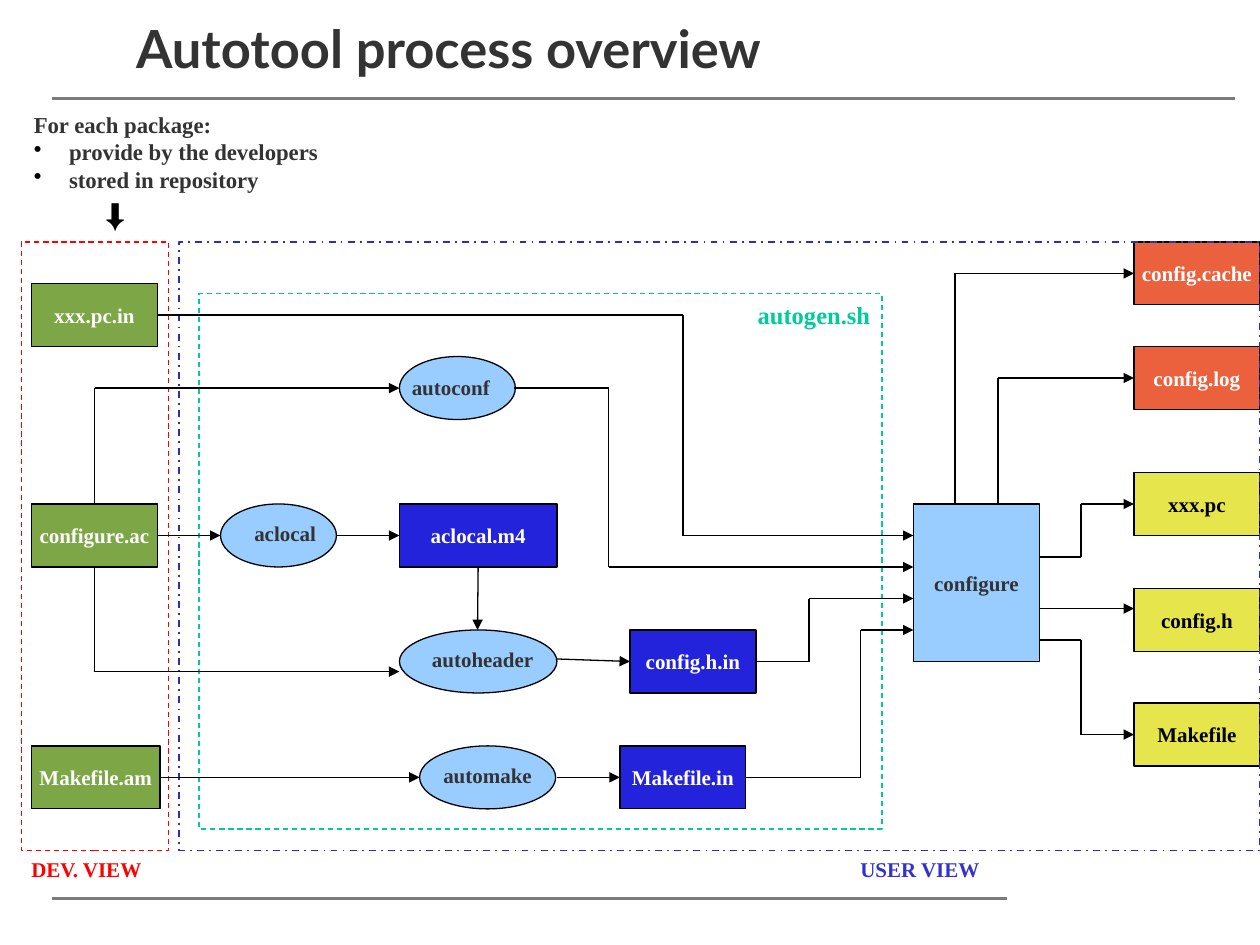
from dataclasses import dataclass
from typing import Optional

import pptx
import pptx.util
from lxml import etree
from pptx.dml.color import RGBColor
from pptx.enum.dml import MSO_LINE
from pptx.enum.shapes import MSO_CONNECTOR, MSO_SHAPE
from pptx.enum.text import MSO_ANCHOR, PP_ALIGN
from pptx.oxml.ns import qn
from pptx.util import Inches

BLACK = RGBColor(0x00, 0x00, 0x00)
WHITE = RGBColor(0xFF, 0xFF, 0xFF)
DARK = RGBColor(0x33, 0x33, 0x33)
GREY = RGBColor(0x7B, 0x7B, 0x7B)
GREEN = RGBColor(0x7D, 0xA6, 0x47)
BLUE = RGBColor(0x23, 0x23, 0xDC)
SKY = RGBColor(0x99, 0xCC, 0xFF)
ORANGE = RGBColor(0xEB, 0x61, 0x3D)
YELLOW = RGBColor(0xE6, 0xE6, 0x4C)
RED = RGBColor(0xFF, 0x00, 0x00)
TEAL = RGBColor(0x00, 0xCC, 0x99)
NAVY = RGBColor(0x2D, 0x2D, 0xB9)
INDIGO = RGBColor(0x33, 0x33, 0xCC)
SERIF = "Times New Roman"


@dataclass
class Box:
    text: str
    x: float
    y: float
    fill: RGBColor
    color: RGBColor = WHITE
    w: float = 1
    h: float = 0.5


@dataclass
class Tool:
    x: float
    y: float
    w: float


@dataclass
class Frame:
    x: float
    y: float
    w: float
    h: float
    color: RGBColor
    width: float = 0.75
    dash: MSO_LINE = MSO_LINE.DASH


@dataclass
class Label:
    text: str
    x: float
    y: float
    w: float
    h: float = 0.3
    color: RGBColor = DARK
    size: int = 12
    font: str = SERIF
    wrap: bool = False
    align: Optional[PP_ALIGN] = None
    inset: float = 0.1


BOXES = [
    # Written by the developers
    Box("xxx.pc.in", 0.25, 2.25, GREEN),
    Box("configure.ac", 0.25, 4, GREEN),
    Box("Makefile.am", 0.25, 5.92, GREEN, w=1.02),
    # Generated by autogen.sh
    Box("aclocal.m4", 3.17, 4, BLUE, w=1.25),
    Box("config.h.in", 5, 5, BLUE),
    Box("Makefile.in", 4.92, 5.92, BLUE),
    Box("configure", 7.25, 4, SKY, DARK, h=1.25),
    # Produced by configure
    Box("config.cache", 9, 1.92, ORANGE),
    Box("config.log", 9, 2.75, ORANGE),
    Box("xxx.pc", 9, 3.75, YELLOW, BLACK),
    Box("config.h", 9, 4.67, YELLOW, BLACK),
    Box("Makefile", 9, 5.58, YELLOW, BLACK),
]
TOOLS = [Tool(3.17, 2.83, 0.92), Tool(1.75, 4, 0.92),
         Tool(3.17, 5, 1.25), Tool(3.33, 5.92, 1.08)]
FRAMES = [
    Frame(0.17, 1.92, 1.17, 4.83, RED),
    Frame(1.58, 2.33, 5.42, 4.25, TEAL),
    Frame(1.42, 1.92, 8.58, 4.83, NAVY, 1, MSO_LINE.DASH_DOT),
]
LABELS = [
    Label("Autotool process overview", 1.08, 0.08, 8.74, 0.7, size=30,
          font="Lato", wrap=True, inset=0),
    Label("autogen.sh", 5.92, 2.33, 1.08, 0.33, TEAL, 14,
          align=PP_ALIGN.CENTER, inset=0.02),
    Label("⬇", 0.74, 1.5, 0.45, 0.4, BLACK, 18, "Arial"),
    Label("autoconf", 3.17, 2.92, 0.9),
    Label("aclocal", 1.92, 4.08, 1, wrap=True),
    Label("autoheader", 3.33, 5.08, 1.08, wrap=True),
    Label("automake", 3.42, 6, 1),
    Label("USER VIEW", 6.73, 6.75, 1.2, color=INDIGO),
    Label("DEV. VIEW", 0.15, 6.75, 1.15, color=RED),
]
# Each route is a chain of points with an arrowhead at its end
ROUTES = [
    [(1.25, 2.5), (5.42, 2.5), (5.42, 4.25), (7.25, 4.25)],
    [(0.75, 4), (0.75, 3.08), (3.17, 3.08)],
    [(4.08, 3.08), (4.83, 3.08), (4.83, 4.5), (7.25, 4.5)],
    [(1.25, 4.25), (1.75, 4.25)],
    [(2.67, 4.25), (3.17, 4.25)],
    [(3.79, 4.5), (3.79, 5)],
    [(0.75, 4.5), (0.75, 5.33), (3.17, 5.33)],
    [(4.42, 5.23), (5, 5.25)],
    [(6, 5.25), (6.42, 5.25), (6.42, 4.75), (7.25, 4.75)],
    [(1.27, 6.17), (3.33, 6.17)],
    [(4.42, 6.17), (4.92, 6.17)],
    [(5.92, 6.17), (6.83, 6.17), (6.83, 5), (7.25, 5)],
    [(7.58, 4), (7.58, 2.17), (9, 2.17)],
    [(7.92, 4), (7.92, 3), (9, 3)],
    [(8.25, 4.42), (8.58, 4.42), (8.58, 4), (9, 4)],
    [(8.25, 4.83), (9, 4.83)],
    [(8.25, 5.08), (8.58, 5.08), (8.58, 5.83), (9, 5.83)],
]


def add_run(p, text: str, size: int, color: RGBColor, font: str = SERIF) -> None:
    r = p.add_run()
    r.text = text
    r.font.size = pptx.util.Pt(size)
    r.font.name = font
    r.font.bold = True
    r.font.color.rgb = color


def add_shape(s, kind, x, y, w, h, fill=None, line=BLACK, width=0.75):
    sp = s.shapes.add_shape(kind, Inches(x), Inches(y), Inches(w), Inches(h))
    sp.shadow.inherit = False
    if fill is None:
        sp.fill.background()
    else:
        sp.fill.solid()
        sp.fill.fore_color.rgb = fill
    sp.line.color.rgb = line
    sp.line.width = pptx.util.Pt(width)
    return sp


def add_box(s, box: Box):
    sp = add_shape(s, MSO_SHAPE.RECTANGLE, box.x, box.y, box.w, box.h, box.fill)
    tf = sp.text_frame
    tf.word_wrap = False
    tf.vertical_anchor = MSO_ANCHOR.MIDDLE
    p = tf.paragraphs[0]
    p.alignment = PP_ALIGN.CENTER
    add_run(p, box.text, 12, box.color)
    return sp


def add_label(s, label: Label):
    tf = s.shapes.add_textbox(Inches(label.x), Inches(label.y),
                              Inches(label.w), Inches(label.h)).text_frame
    tf.word_wrap = label.wrap
    tf.margin_left = tf.margin_right = Inches(label.inset)
    p = tf.paragraphs[0]
    p.alignment = label.align
    add_run(p, label.text, label.size, label.color, label.font)
    return tf


def add_bullet(tf, text: str) -> None:
    p = tf.add_paragraph()
    pPr = p._p.get_or_add_pPr()
    pPr.set("marL", str(Inches(0.28)))
    pPr.set("indent", str(Inches(-0.28)))
    color = etree.SubElement(pPr, qn("a:buClr"))
    etree.SubElement(color, qn("a:srgbClr"), val=str(BLACK))
    etree.SubElement(pPr, qn("a:buChar"), char="•")
    add_run(p, text, 13, DARK)


def add_line(s, start, end, color=BLACK, width=0.75, arrow=False):
    cn = s.shapes.add_connector(MSO_CONNECTOR.STRAIGHT,
                                *(Inches(v) for v in (*start, *end)))
    cn.line.color.rgb = color
    cn.line.width = pptx.util.Pt(width)
    if arrow:
        etree.SubElement(cn.line._get_or_add_ln(), qn("a:tailEnd"), type="triangle")
    etree.SubElement(cn._element.spPr, qn("a:effectLst"))
    return cn


def find_side(point, placed):
    """Return the box and side whose middle lies at the point."""
    for box, sp in placed:
        cx, cy = box.x + box.w / 2, box.y + box.h / 2
        sides = [(cx, box.y), (box.x, cy), (cx, box.y + box.h), (box.x + box.w, cy)]
        for i, (x, y) in enumerate(sides):
            if abs(x - point[0]) < 0.02 and abs(y - point[1]) < 0.02:
                return sp, i
    return None


def add_route(s, points, placed) -> None:
    lines = [add_line(s, a, b, arrow=b is points[-1])
             for a, b in zip(points, points[1:])]
    if side := find_side(points[0], placed):
        lines[0].begin_connect(*side)
    if side := find_side(points[-1], placed):
        lines[-1].end_connect(*side)


def main() -> None:
    prs = pptx.Presentation()
    prs.slide_width, prs.slide_height = Inches(10), Inches(7.5)
    s = prs.slides.add_slide(prs.slide_layouts[6])

    # Header and footer rules
    add_line(s, (0.41, 0.78), (9.8, 0.78), GREY, 1.5)
    add_line(s, (0.41, 7.13), (7.99, 7.13), GREY, 1.5)

    # Files, tools and view frames
    placed = [(box, add_box(s, box)) for box in BOXES]
    for t in TOOLS:
        add_shape(s, MSO_SHAPE.OVAL, t.x, t.y, t.w, 0.5, SKY)
    for f in FRAMES:
        sp = add_shape(s, MSO_SHAPE.RECTANGLE, f.x, f.y, f.w, f.h,
                       line=f.color, width=f.width)
        sp.line.dash_style = f.dash

    # Flow and captions
    for points in ROUTES:
        add_route(s, points, placed)
    for label in LABELS:
        add_label(s, label)

    # Package notes
    tf = add_label(s, Label("For each package:", 0.17, 0.83, 2.67, 0.78,
                            size=13, wrap=True))
    for text in ("provide by the developers", "stored in repository"):
        add_bullet(tf, text)

    prs.save("out.pptx")


if __name__ == "__main__":
    main()
